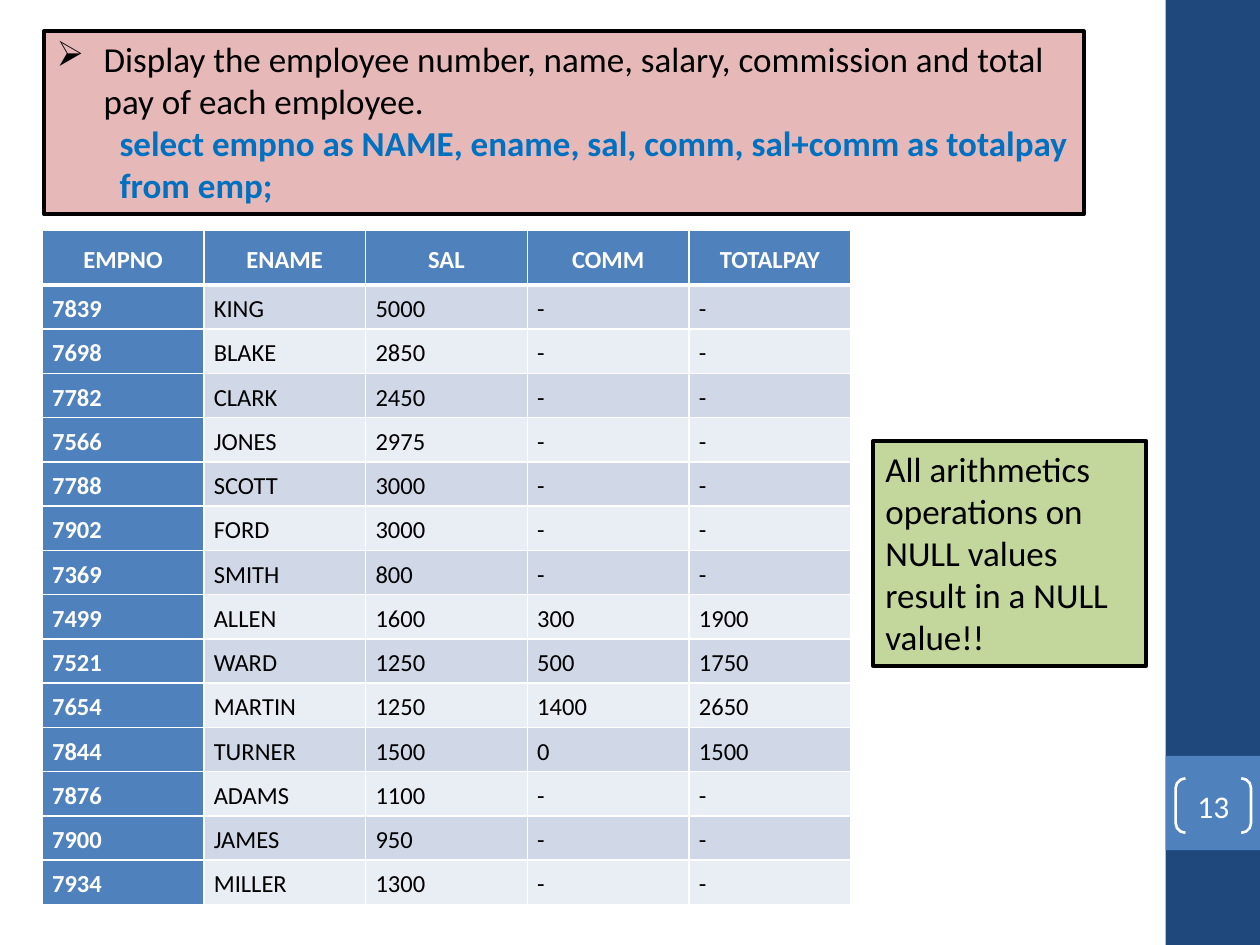
from dataclasses import dataclass

from lxml import etree
from pptx import Presentation
from pptx.dml.color import RGBColor
from pptx.enum.shapes import MSO_SHAPE
from pptx.enum.text import MSO_ANCHOR, PP_ALIGN
from pptx.oxml.ns import qn
from pptx.util import Cm, Pt

RECTANGLE, BRACKETS = MSO_SHAPE.RECTANGLE, MSO_SHAPE.DOUBLE_BRACKET
TOP, MIDDLE, BOTTOM = MSO_ANCHOR.TOP, MSO_ANCHOR.MIDDLE, MSO_ANCHOR.BOTTOM
LEFT, CENTER = PP_ALIGN.LEFT, PP_ALIGN.CENTER


@dataclass(frozen=True)
class Theme:
    font: str = "Calibri"
    navy: str = "1F497D"
    blue: str = "4F81BD"
    code: str = "0070C0"
    pink: str = "E6B9B8"
    green: str = "C3D69B"
    bands: tuple = ("D0D8E8", "E9EDF4")
    black: str = "000000"
    white: str = "FFFFFF"
    body_size: int = 20
    number_size: int = 18
    table_size: int = 14
    box_line: float = 2.25
    bracket_line: float = 1.5
    cell_line: float = 1
    header_line: float = 3


THEME = Theme()

QUESTION = (
    "Display the employee number, name, salary, commission and total pay of each employee."
)
QUERY = [
    "select empno as NAME, ename, sal, comm, sal+comm as totalpay",
    "from emp;",
]
NOTE = "All arithmetics operations on NULL values result in a NULL value!!"
PAGE_NUMBER = "13"
HEADER = ("EMPNO", "ENAME", "SAL", "COMM", "TOTALPAY")
EMPLOYEES = [
    ("7839", "KING", "5000", "-", "-"),
    ("7698", "BLAKE", "2850", "-", "-"),
    ("7782", "CLARK", "2450", "-", "-"),
    ("7566", "JONES", "2975", "-", "-"),
    ("7788", "SCOTT", "3000", "-", "-"),
    ("7902", "FORD", "3000", "-", "-"),
    ("7369", "SMITH", "800", "-", "-"),
    ("7499", "ALLEN", "1600", "300", "1900"),
    ("7521", "WARD", "1250", "500", "1750"),
    ("7654", "MARTIN", "1250", "1400", "2650"),
    ("7844", "TURNER", "1500", "0", "1500"),
    ("7876", "ADAMS", "1100", "-", "-"),
    ("7900", "JAMES", "950", "-", "-"),
    ("7934", "MILLER", "1300", "-", "-"),
]

# Left, top, width, height in centimetres
SIDEBAR = (23.5, 0, 1.9, 19.05)
NUMBER_PANEL = (23.5, 15.24, 1.9, 1.9)
NUMBER_BRACKETS = (23.7, 15.69, 1.52, 1.1)
QUESTION_BOX = (0.89, 0.63, 20.96, 3.69)
NOTE_BOX = (17.6, 8.89, 5.51, 4.53)
TABLE_LEFT, TABLE_TOP, COLUMN_WIDTH = 0.85, 4.65, 3.26
HEADER_HEIGHT, ROW_HEIGHT = 1.07, 0.89
CELL_SIDE, HEADER_MARGIN, ROW_MARGIN = 0.2, 0.2, 0.1


def rgb(color):
    return RGBColor.from_string(color)


def format_paragraph(paragraph, size, color, bold=False, align=LEFT):
    paragraph.alignment = align
    for run in paragraph.runs:
        run.font.name = THEME.font
        run.font.size = Pt(size)
        run.font.color.rgb = rgb(color)
        run.font.bold = bold


def add_box(slide, kind, place, fill=None, line=None, line_width=0):
    shape = slide.shapes.add_shape(kind, *map(Cm, place))
    shape.shadow.inherit = False
    if fill:
        shape.fill.solid()
        shape.fill.fore_color.rgb = rgb(fill)
    else:
        shape.fill.background()
    if line:
        shape.line.color.rgb = rgb(line)
        shape.line.width = Pt(line_width)
    else:
        shape.line.fill.background()
    shape.text_frame.word_wrap = True
    shape.text_frame.vertical_anchor = TOP
    return shape


def indent(paragraph, left, first_line=0, bullet=None):
    properties = paragraph._p.get_or_add_pPr()
    properties.set("marL", str(Cm(left)))
    properties.set("indent", str(Cm(first_line)))
    if bullet:
        etree.SubElement(properties, qn("a:buChar")).set("char", bullet)
    else:
        etree.SubElement(properties, qn("a:buNone"))


def add_sidebar(slide):
    add_box(slide, RECTANGLE, SIDEBAR, THEME.navy)
    add_box(slide, RECTANGLE, NUMBER_PANEL, THEME.blue)
    brackets = add_box(slide, BRACKETS, NUMBER_BRACKETS,
                       line=THEME.white, line_width=THEME.bracket_line)
    brackets.adjustments[0] = 0.18
    frame = brackets.text_frame
    frame.margin_left = frame.margin_right = frame.margin_top = frame.margin_bottom = 0
    frame.vertical_anchor = MIDDLE
    frame.text = PAGE_NUMBER
    format_paragraph(frame.paragraphs[0], THEME.number_size, THEME.white, align=CENTER)


def add_question(slide):
    box = add_box(slide, RECTANGLE, QUESTION_BOX, THEME.pink, THEME.black, THEME.box_line)
    frame = box.text_frame
    frame.text = "\n".join([QUESTION, *QUERY])
    question, *query = frame.paragraphs
    indent(question, 0.95, -0.95, "➢")
    format_paragraph(question, THEME.body_size, THEME.black)
    for paragraph in query:
        paragraph.level = 1
        indent(paragraph, 1.27)
        format_paragraph(paragraph, THEME.body_size, THEME.code, bold=True)


def add_note(slide):
    box = add_box(slide, RECTANGLE, NOTE_BOX, THEME.green, THEME.black, THEME.box_line)
    box.text_frame.text = NOTE
    format_paragraph(box.text_frame.paragraphs[0], THEME.body_size, THEME.black)


def set_borders(cell, top, bottom):
    properties = cell._tc.get_or_add_tcPr()
    widths = {"L": THEME.cell_line, "R": THEME.cell_line, "T": top, "B": bottom}
    for side, width in widths.items():
        line = etree.SubElement(properties, qn(f"a:ln{side}"), w=str(Pt(width)))
        fill = etree.SubElement(line, qn("a:solidFill"))
        etree.SubElement(fill, qn("a:srgbClr"), val=THEME.white)


def fill_cell(cell, text, row, column):
    is_header = row == 0
    is_strong = is_header or column == 0
    set_borders(cell,
                top=THEME.header_line if row == 1 else THEME.cell_line,
                bottom=THEME.header_line if is_header else THEME.cell_line)
    cell.fill.solid()
    cell.fill.fore_color.rgb = rgb(THEME.blue if is_strong else THEME.bands[(row - 1) % 2])
    cell.margin_left = cell.margin_right = Cm(CELL_SIDE)
    cell.margin_top = cell.margin_bottom = Cm(HEADER_MARGIN if is_header else ROW_MARGIN)
    cell.vertical_anchor = BOTTOM if is_header else MIDDLE
    cell.text = text
    paragraph = cell.text_frame.paragraphs[0]
    paragraph.line_spacing = 1.15
    format_paragraph(paragraph, THEME.table_size,
                     THEME.white if is_strong else THEME.black,
                     is_strong, CENTER if is_header else LEFT)


def add_employee_table(slide):
    rows = [HEADER, *EMPLOYEES]
    width = COLUMN_WIDTH * len(HEADER)
    height = HEADER_HEIGHT + ROW_HEIGHT * len(EMPLOYEES)
    table = slide.shapes.add_table(len(rows), len(HEADER), Cm(TABLE_LEFT), Cm(TABLE_TOP),
                                   Cm(width), Cm(height)).table
    table.first_col = True
    for column in table.columns:
        column.width = Cm(COLUMN_WIDTH)
    for row, values in enumerate(rows):
        table.rows[row].height = Cm(ROW_HEIGHT if row else HEADER_HEIGHT)
        for column, text in enumerate(values):
            fill_cell(table.cell(row, column), text, row, column)


def main():
    presentation = Presentation()
    presentation.slide_width, presentation.slide_height = Cm(25.4), Cm(19.05)
    slide = presentation.slides.add_slide(presentation.slide_layouts[6])
    add_sidebar(slide)
    add_question(slide)
    add_employee_table(slide)
    add_note(slide)
    presentation.save("out.pptx")


if __name__ == "__main__":
    main()
